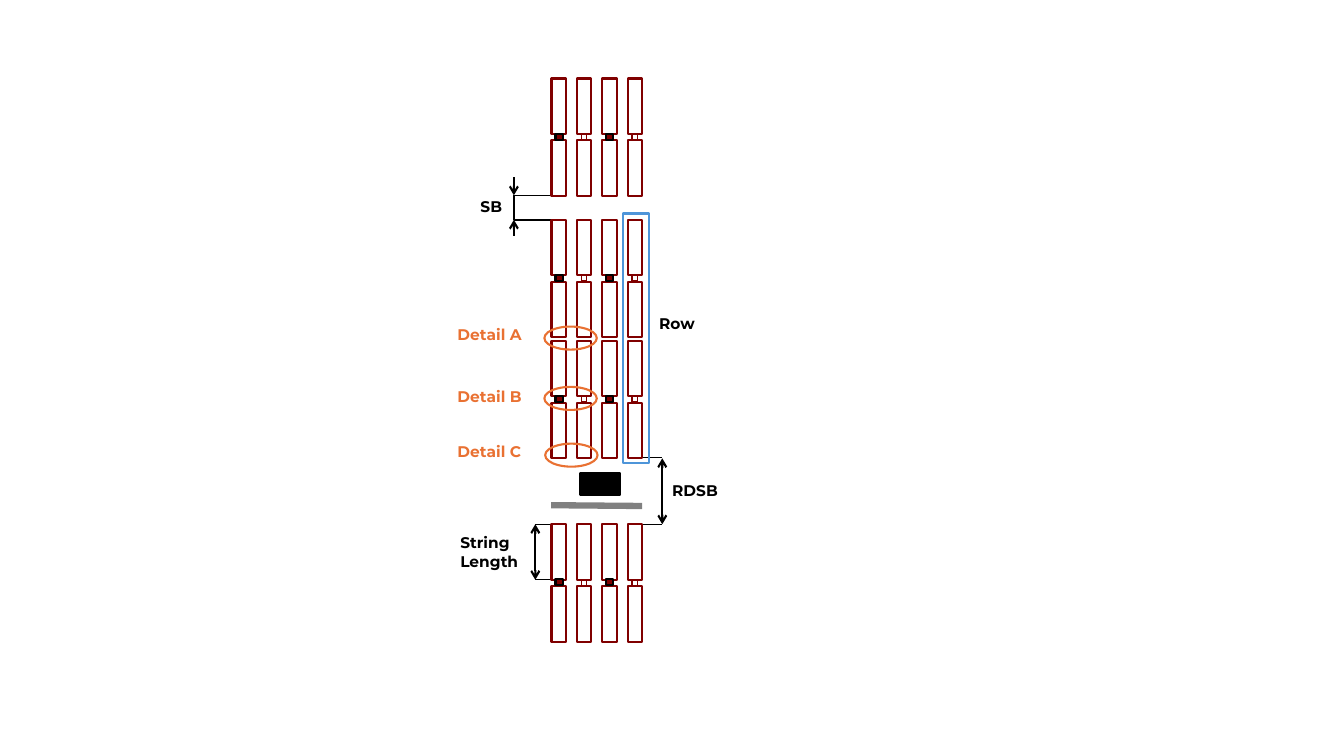
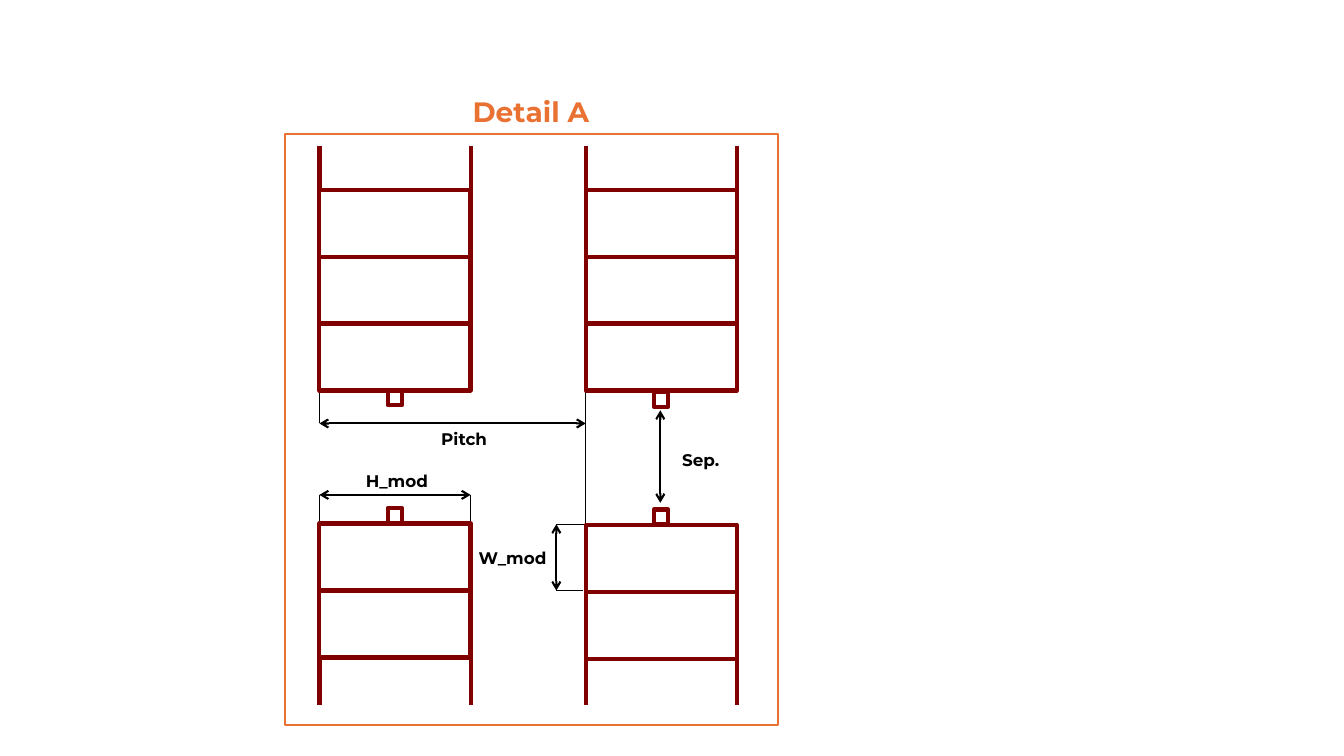
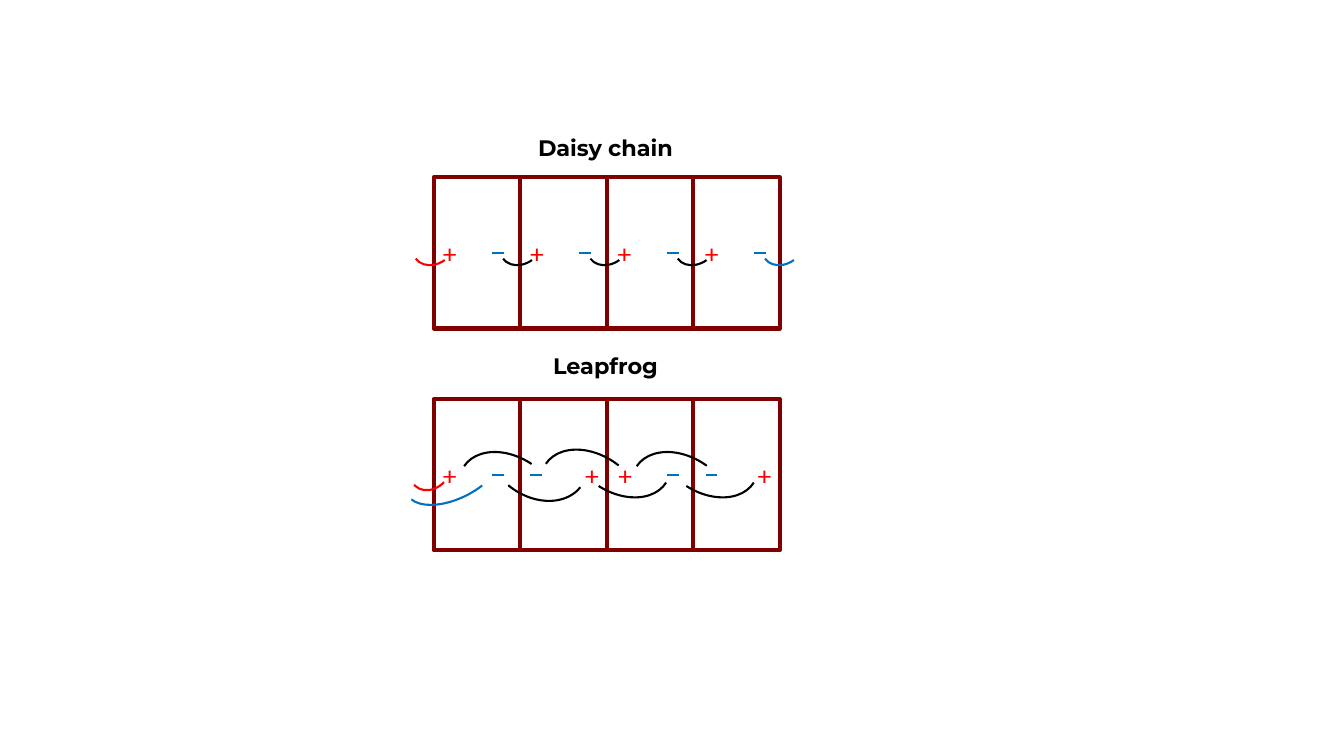
"""Draw a solar row layout, its detail A and two string wiring schemes."""
from lxml.etree import SubElement
from pptx import Presentation
from pptx.dml.color import RGBColor
from pptx.enum.shapes import MSO_CONNECTOR as Link, MSO_SHAPE as Shape
from pptx.enum.text import MSO_AUTO_SIZE as Fit
from pptx.oxml.ns import qn
from pptx.util import Cm, Pt

COLORS = {
    "black": "000000", "maroon": "800000", "orange": "E97132", "gray": "808080",
    "frame": "4E95D9", "plus": "FF0000", "minus": "0070C0",
}
STYLES = {
    "label": {"size": Pt(11), "name": "Montserrat", "bold": True},
    "measure": {"size": Pt(12), "name": "Montserrat", "bold": True},
    "heading": {"size": Pt(16), "name": "Montserrat", "bold": True},
    "title": {"size": Pt(20), "name": "Montserrat", "bold": True},
    "sign": {"size": Pt(18), "name": "Karla", "bold": False},
}


def draw_shape(page, kind, place, line, weight=1.5, fill=None, rotation=0):
    shape = page.shapes.add_shape(kind, *[Cm(length) for length in place])
    shape.shadow.inherit = False
    shape.rotation = rotation
    shape.line.color.rgb = RGBColor.from_string(COLORS[line])
    shape.line.width = Pt(weight)
    if fill:
        shape.fill.solid()
        shape.fill.fore_color.rgb = RGBColor.from_string(COLORS[fill])
    else:
        shape.fill.background()
    return shape


def draw_line(page, points, color="black", weight=1, arrows=()):
    line = page.shapes.add_connector(Link.STRAIGHT, *[Cm(length) for length in points])
    line.line.color.rgb = RGBColor.from_string(COLORS[color])
    line.line.width = Pt(weight)
    for end in arrows:
        SubElement(line.line._get_or_add_ln(), qn(f"a:{end}"), type="arrow")
    SubElement(line._element.spPr, qn("a:effectLst"))


deck = Presentation()
deck.slide_width, deck.slide_height = Cm(33.87), Cm(19.05)
layout_page, detail_page, wiring_page = [
    deck.slides.add_slide(deck.slide_layouts[6]) for _ in range(3)
]
both_ends = ("headEnd", "tailEnd")

for points in (
    (14.17, 13.21, 13.49, 13.21), (14.17, 14.61, 13.49, 14.61),
    (16, 13.21, 16.69, 13.21), (16, 11.53, 16.69, 11.53),
    (14.07, 5.54, 12.95, 5.54), (14.07, 4.92, 12.95, 4.92),
    (12.95, 4.92, 12.95, 5.54),
):
    draw_line(layout_page, points)

for points, arrows in (
    ((12.95, 4.47, 12.95, 4.92), ("tailEnd",)),
    ((12.95, 5.94, 12.95, 5.54), ("tailEnd",)),
    ((16.69, 13.21, 16.69, 11.55), both_ends),
    ((13.49, 14.61, 13.49, 13.21), both_ends),
):
    draw_line(layout_page, points, weight=1.5, arrows=arrows)

draw_line(layout_page, (13.89, 12.73, 16.18, 12.75), "gray", 4.5)
draw_shape(layout_page, Shape.RECTANGLE, (14.63, 11.91, 0.99, 0.56), "black", fill="black")

for top in (1.98, 5.54, 8.59, 13.21):
    for column in range(4):
        left = 13.9 + 0.64 * column
        for string_top in (top, top + 1.56):
            draw_shape(layout_page, Shape.RECTANGLE, (left, string_top, 0.36, 1.4), "maroon")
        if column % 2:
            joint = (left + 0.11, top + 1.39, 0.13, 0.15)
            draw_shape(layout_page, Shape.RECTANGLE, joint, "maroon", 1)
        else:
            motor = (left + 0.1, top + 1.39, 0.18, 0.15)
            draw_shape(layout_page, Shape.RECTANGLE, motor, "black", fill="maroon")

for left, top in ((13.72, 8.23), (13.72, 9.75), (13.74, 11.18)):
    draw_shape(layout_page, Shape.OVAL, (left, top, 1.32, 0.58), "orange")
draw_shape(layout_page, Shape.RECTANGLE, (15.7, 5.38, 0.66, 6.3), "frame")

for points in (
    (14.68, 14.88, 14.02, 14.88), (14.71, 13.21, 14.02, 13.21),
    (8.05, 13.18, 8.05, 12.47), (11.86, 13.18, 11.86, 12.47),
    (8.05, 9.83, 8.05, 10.67), (14.76, 9.86, 14.76, 13.26),
):
    draw_line(detail_page, points)

for left, drop in ((8.05, 0), (14.76, 0.04)):
    for top in (4.79, 6.47, 8.15, 13.19 + drop, 14.88 + drop):
        draw_shape(detail_page, Shape.RECTANGLE, (left, top, 3.81, 1.69), "maroon", 3)
    for side in (left, left + 3.81):
        for start, end in ((4.85, 3.68), (16.57, 17.77)):
            draw_line(detail_page, (side, start, side, end), "maroon", 3)
    for top in (9.83, 12.8):
        post = (left + 1.72, top + drop, 0.36, 0.38)
        draw_shape(detail_page, Shape.RECTANGLE, post, "maroon", 3)

for points in (
    (11.86, 12.47, 8.05, 12.47), (14.76, 10.67, 8.05, 10.67),
    (16.64, 12.67, 16.64, 10.34), (14.02, 14.88, 14.02, 13.21),
):
    draw_line(detail_page, points, weight=1.5, arrows=both_ends)
draw_shape(detail_page, Shape.RECTANGLE, (7.19, 3.38, 12.42, 14.88), "orange")

labels = [
    (layout_page, "SB", "label", "black", (11.86, 4.85, 1.2, 0.74)),
    (layout_page, "RDSB", "label", "black", (16.69, 12.01, 1.78, 0.74)),
    (layout_page, "Row", "label", "black", (16.36, 7.8, 1.5, 0.74)),
    (layout_page, "String Length", "label", "black", (11.35, 13.31, 2.01, 1.19)),
    (layout_page, "Detail A", "label", "orange", (11.28, 8.08, 2.25, 0.74)),
    (layout_page, "Detail B", "label", "orange", (11.28, 9.63, 2.25, 0.74)),
    (layout_page, "Detail C", "label", "orange", (11.28, 11.02, 2.25, 0.74)),
    (detail_page, "Pitch", "measure", "black", (10.87, 10.67, 1.96, 0.76)),
    (detail_page, "H_mod", "measure", "black", (8.97, 11.73, 2.44, 0.76)),
    (detail_page, "Sep.", "measure", "black", (16.94, 11.2, 1.96, 0.76)),
    (detail_page, "W_mod", "measure", "black", (11.81, 13.67, 2.44, 0.76)),
    (detail_page, "Detail A", "title", "orange", (11.66, 2.26, 3.7, 1.12)),
    (wiring_page, "Daisy chain", "heading", "black", (13.31, 3.25, 4.39, 0.94)),
    (wiring_page, "Leapfrog", "heading", "black", (13.69, 8.74, 3.4, 0.94)),
]

for module_top, sign_top, pluses, minuses in (
    (4.47, 5.84, (10.92, 13.12, 15.32, 17.52), (12.4, 14.6, 16.8, 19)),
    (10.06, 11.43, (10.92, 14.5, 15.34, 18.85), (12.4, 13.36, 16.81, 17.78)),
):
    for column in range(4):
        module = (10.93 + 2.18 * column, module_top, 2.18, 3.81)
        draw_shape(wiring_page, Shape.RECTANGLE, module, "maroon", 3)
    for left in pluses:
        labels.append((wiring_page, "+", "sign", "plus", (left, sign_top, 0.81, 1.02)))
    for left in minuses:
        height = sign_top + 0.53
        draw_line(wiring_page, (left, height, left + 0.3, height), "minus", 1.5)

for index, color in enumerate(("plus", "black", "black", "black", "minus")):
    wire = (10.37 + 2.2 * index, 5.73, 1.14, 0.91)
    draw_shape(wiring_page, Shape.ARC, wire, color, rotation=144.2)

for place, rotation, color, start, end in (
    ((10.29, 11.38, 1.14, 0.91), 133.9, "plus", 162, 2.57),
    ((10.11, 11.13, 2.69, 1.42), 152.6, "minus", 142.25, 211.82),
    ((12.4, 9.93, 2.24, 2.87), 129.6, "black", 162, 0),
    ((14.63, 10.03, 1.98, 2.77), 122.7, "black", 162, 0),
    ((16.84, 10.03, 1.98, 2.77), 122.7, "black", 162, 0),
    ((11.86, 11.13, 1.98, 2.77), 303.7, "black", 162, 0),
    ((13.92, 11.07, 1.98, 2.77), 303.7, "black", 162, 5.65),
    ((16.21, 11.13, 1.98, 2.77), 303.7, "black", 162, 2.68),
):
    arc = draw_shape(wiring_page, Shape.ARC, place, color, rotation=rotation)
    arc.adjustments[0], arc.adjustments[1] = start, end

for page, text, style, color, place in labels:
    box = page.shapes.add_textbox(*[Cm(length) for length in place])
    box.text_frame.word_wrap = True
    box.text_frame.auto_size = Fit.SHAPE_TO_FIT_TEXT
    para = box.text_frame.paragraphs[0]
    span = para.add_run()
    span.text = text
    span.font.color.rgb = RGBColor.from_string(COLORS[color])
    for name, value in STYLES[style].items():
        setattr(span.font, name, value)

deck.save("out.pptx")
